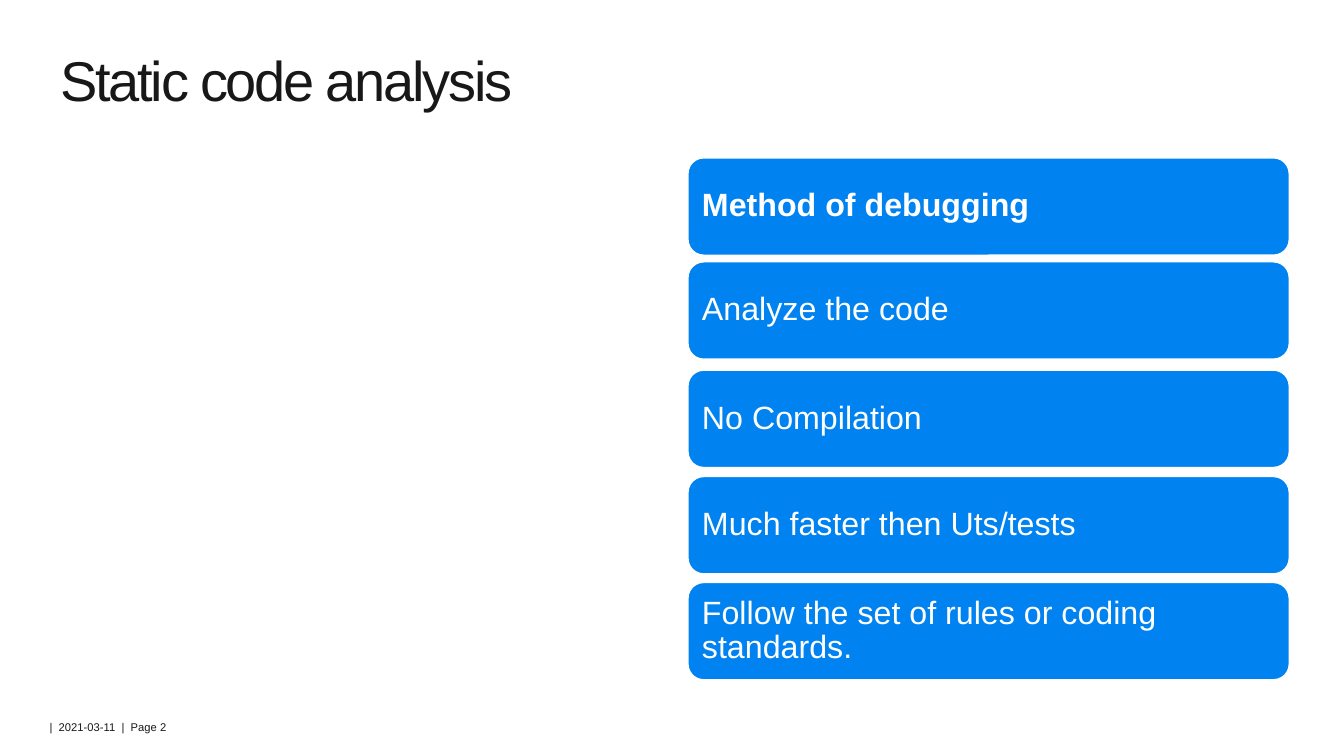
import pptx
import pptx.dml.color
import pptx.enum.shapes
import pptx.enum.text
import pptx.util

Cm = pptx.util.Cm
Pt = pptx.util.Pt
RGBColor = pptx.dml.color.RGBColor
MIDDLE = pptx.enum.text.MSO_ANCHOR.MIDDLE
TOP = pptx.enum.text.MSO_ANCHOR.TOP
LEFT = pptx.enum.text.PP_ALIGN.LEFT

BLUE = RGBColor(0x00, 0x82, 0xF0)
WHITE = RGBColor(0xFF, 0xFF, 0xFF)
BLACK = RGBColor(0x18, 0x18, 0x18)
FOOTER_BLACK = RGBColor(0x1A, 0x18, 0x16)

CARD_HEIGHT = 2.49
CARDS = [
    (0, "Method of debugging"),
    (2.62, "Analyze the code"),
    (5.35, "No Compilation"),
    (8.03, "Much faster then Uts/tests"),
    (10.7, "Follow the set of rules or coding standards."),
]


def write_text(shape, text, size, color, margins, anchor=TOP, wrap=True):
    frame = shape.text_frame
    frame.word_wrap = wrap
    frame.vertical_anchor = anchor
    frame.margin_left = frame.margin_right = Cm(margins[0])
    frame.margin_top = frame.margin_bottom = Cm(margins[1])
    paragraph = frame.paragraphs[0]
    paragraph.text = text
    paragraph.alignment = LEFT
    paragraph.font.name = "Arial"
    paragraph.font.size = Pt(size)
    paragraph.font.color.rgb = color
    return paragraph


def add_title(slide, left, top, width, height):
    title = slide.shapes.add_textbox(Cm(left), Cm(top), Cm(width), Cm(height))
    paragraph = write_text(title, "Static code analysis", 40, BLACK, (0.2, 0.1))
    paragraph.line_spacing = 0.85
    paragraph.space_before = Pt(3)
    paragraph.runs[0].font._element.set("spc", "-160")


def add_cards(slide, left, top, width):
    for offset, text in CARDS:
        card = slide.shapes.add_shape(
            pptx.enum.shapes.MSO_SHAPE.ROUNDED_RECTANGLE,
            Cm(left), Cm(top + offset), Cm(width), Cm(CARD_HEIGHT),
        )
        card.shadow.inherit = False
        card.fill.solid()
        card.fill.fore_color.rgb = BLUE
        card.line.color.rgb = WHITE
        card.line.width = Pt(2)
        paragraph = write_text(card, text, 23, WHITE, (0.25, 0.25), MIDDLE)
        paragraph.line_spacing = 0.9
        paragraph.font.bold = offset == 0


def add_footer(slide, left, top, width, height):
    footer = slide.shapes.add_textbox(Cm(left), Cm(top), Cm(width), Cm(height))
    write_text(footer, "|  2021-03-11  |  Page 2", 8, FOOTER_BLACK, (0, 0), wrap=False)


def main():
    presentation = pptx.Presentation()
    presentation.slide_width = Cm(33.87)
    presentation.slide_height = Cm(19.05)
    slide = presentation.slides.add_slide(presentation.slide_layouts[6])
    add_footer(slide, 1.25, 18.14, 3.1, 0.33)
    add_title(slide, 1.32, 1.32, 23.22, 3)
    add_cards(slide, 17.32, 3.96, 15.19)
    presentation.save("out.pptx")


if __name__ == "__main__":
    main()
